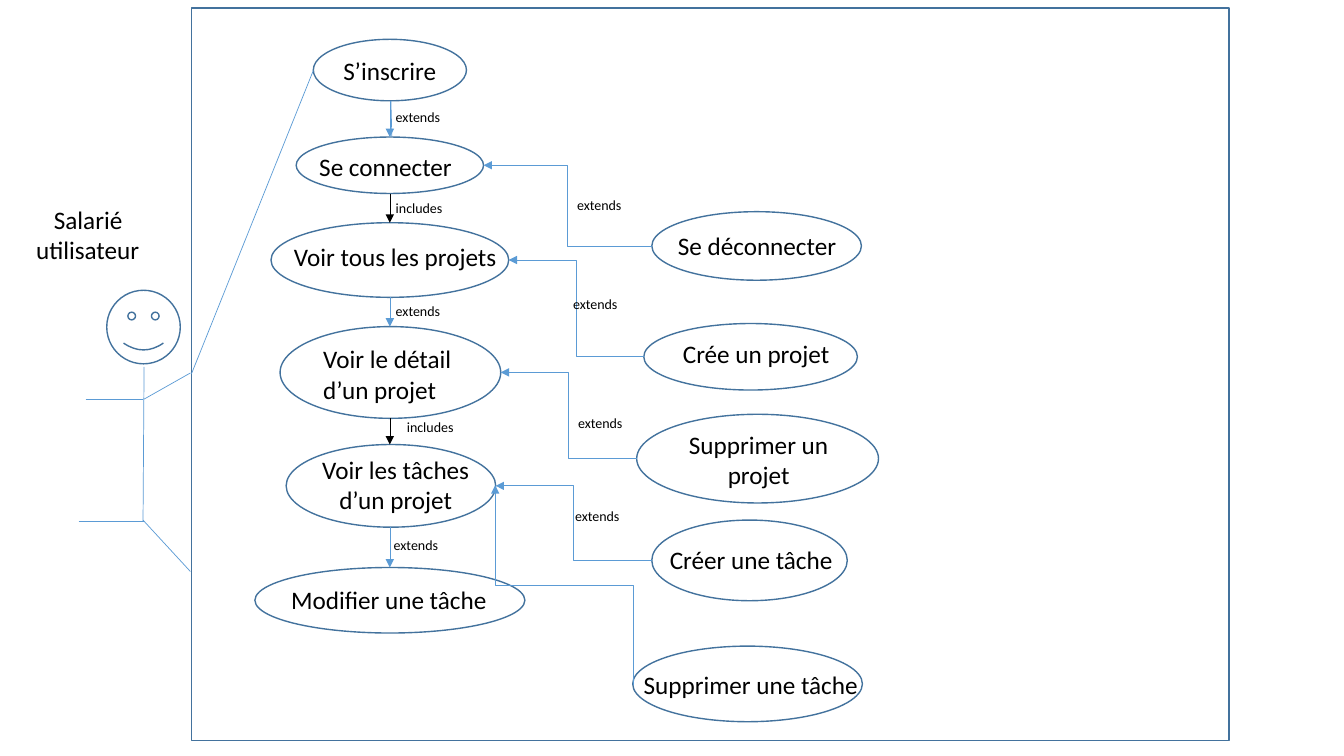
from lxml import etree
from pptx import Presentation, util as u
from pptx.dml.color import RGBColor
from pptx.enum import shapes, text
from pptx.oxml.ns import qn

OUTLINE, LINK, BLACK = "43729D", "5B9BD5", "000000"
KIND, LINE_KIND = shapes.MSO_SHAPE, shapes.MSO_CONNECTOR

deck = Presentation()
deck.slide_width, deck.slide_height = u.Inches(13.34), u.Inches(7.5)
page = deck.slides.add_slide(deck.slide_layouts[6])


def add_label(words, left, top, width, height, size=18, wrap=False, aligns="l"):
    """Add one paragraph per line of words; aligns holds l or c for each."""
    box = page.shapes.add_textbox(*map(u.Inches, (left, top, width, height)))
    frame = box.text_frame
    frame.word_wrap = wrap
    frame.auto_size = text.MSO_AUTO_SIZE.SHAPE_TO_FIT_TEXT
    frame.text = words
    for para, align in zip(frame.paragraphs, aligns):
        para.alignment = text.PP_ALIGN.CENTER if align == "c" else text.PP_ALIGN.LEFT
        para.font.name, para.font.size = "Calibri", u.Pt(size)
        para.font.color.rgb = RGBColor.from_string(BLACK)


def add_link(start, end, kind=LINE_KIND.STRAIGHT, color=LINK, arrow=True):
    link = page.shapes.add_connector(kind, *map(u.Inches, (*start, *end)))
    link.line.width = u.Pt(0.5)
    link.line.color.rgb = RGBColor.from_string(color)
    if arrow:
        etree.SubElement(link.line._get_or_add_ln(), qn("a:tailEnd"), type="triangle")
    etree.SubElement(link._element.spPr, qn("a:effectLst"))
    return link


# Main chain from top to bottom, then the optional cases on the right
ovals = {
    "register": (3.11, 0.39, 1.52, 0.61),
    "log in": (2.94, 1.36, 1.86, 0.56),
    "projects": (2.69, 2.21, 2.36, 0.74),
    "detail": (2.78, 3.24, 2.19, 0.91),
    "tasks": (2.84, 4.41, 2.08, 0.82),
    "edit task": (2.53, 5.63, 2.68, 0.65),
    "log out": (6.47, 2.1, 2.08, 0.68),
    "new project": (6.39, 3.21, 2.12, 0.66),
    "delete project": (6.32, 4.11, 2.4, 0.88),
    "new task": (6.47, 5.16, 1.94, 0.8),
    "delete task": (6.28, 6.41, 2.28, 0.75),
}
outlines = [(KIND.RECTANGLE, (1.9, 0.08, 10.3, 7.27))]
outlines += [(KIND.OVAL, bounds) for bounds in ovals.values()]
outlines += [(KIND.SMILEY_FACE, (1.06, 2.88, 0.73, 0.73))]
for kind, bounds in outlines:
    shape = page.shapes.add_shape(kind, *map(u.Inches, bounds))
    shape.shadow.inherit = False
    shape.fill.background()
    shape.line.color.rgb = RGBColor.from_string(OUTLINE)
    shape.line.width = u.Pt(1)

# Body of the user, and the line to the first case
for start, end in [
    ((1.43, 3.64), (1.42, 5.17)),
    ((0.85, 3.96), (1.42, 3.96)),
    ((1.43, 3.96), (1.89, 3.7)),
    ((0.78, 5.17), (1.43, 5.17)),
    ((1.42, 5.16), (1.89, 5.67)),
    ((1.9, 3.71), (3.11, 0.7)),
    ((3.88, 1), (3.89, 1.36)),
]:
    add_link(start, end, arrow=False)

# Arrows down the main chain; "includes" arrows are black
chain = ["register", "log in", "projects", "detail", "tasks", "edit task"]
for step, (upper, lower) in enumerate(zip(chain, chain[1:])):
    top, height = ovals[upper][1], ovals[upper][3]
    add_link((3.87, top + height), (3.87, ovals[lower][1]),
             color=BLACK if step % 2 else LINK)

# Elbows from the left of an optional case to the right of its base case
for case, base in [("log out", "log in"), ("new project", "projects"),
                   ("delete project", "detail"), ("new task", "tasks")]:
    left, top, _, height = ovals[case]
    base_left, base_top, base_width, base_height = ovals[base]
    add_link((left, top + height / 2),
             (base_left + base_width, base_top + base_height / 2), LINE_KIND.ELBOW)

# This elbow leaves upwards, so it is a quarter turn of a sideways one
delete_link = add_link((4.61, 6.49), (6.59, 5.12), LINE_KIND.ELBOW)
delete_link._element.spPr.xfrm.set("rot", str(270 * 60000))

add_label("Salarié\nutilisateur", 0.26, 1.98, 1.23, 0.7, aligns="cl")
add_label("S’inscrire", 3.31, 0.5, 2.04, 0.4, wrap=True)
add_label("Se connecter", 3.07, 1.45, 1.52, 0.4)
add_label("Voir tous les projets", 2.82, 2.34, 2.23, 0.4)
add_label("Voir le détail d’un projet", 3.11, 3.36, 1.54, 0.7, wrap=True)
add_label("Voir les tâches\nd’un projet", 3.1, 4.46, 1.67, 0.7, aligns="lc")
add_label("Modifier une tâche", 2.79, 5.75, 2.35, 0.4, wrap=True)
add_label("Se déconnecter", 6.63, 2.24, 1.77, 0.4)
add_label("Crée un projet", 6.68, 3.31, 1.66, 0.4)
add_label("Supprimer un\nprojet", 6.74, 4.21, 1.64, 0.7, aligns="lc")
add_label("Créer une tâche", 6.55, 5.35, 1.82, 0.4)
add_label("Supprimer une tâche", 6.29, 6.59, 2.33, 0.4)

for left, top in [(3.83, 1.03), (3.83, 2.95), (3.81, 5.27), (5.63, 1.9),
                  (5.59, 2.88), (5.64, 4.06), (5.61, 4.99)]:
    add_label("extends", left, top, 0.64, 0.27, size=10)
for left, top in [(3.83, 1.93), (3.94, 4.1)]:
    add_label("includes", left, top, 0.66, 0.27, size=10)

# A flat smile
for shape in page.shapes:
    if shape.shape_type == shapes.MSO_SHAPE_TYPE.AUTO_SHAPE:
        if shape.auto_shape_type == KIND.SMILEY_FACE:
            shape.adjustments[0] = 0.047

deck.save("out.pptx")
